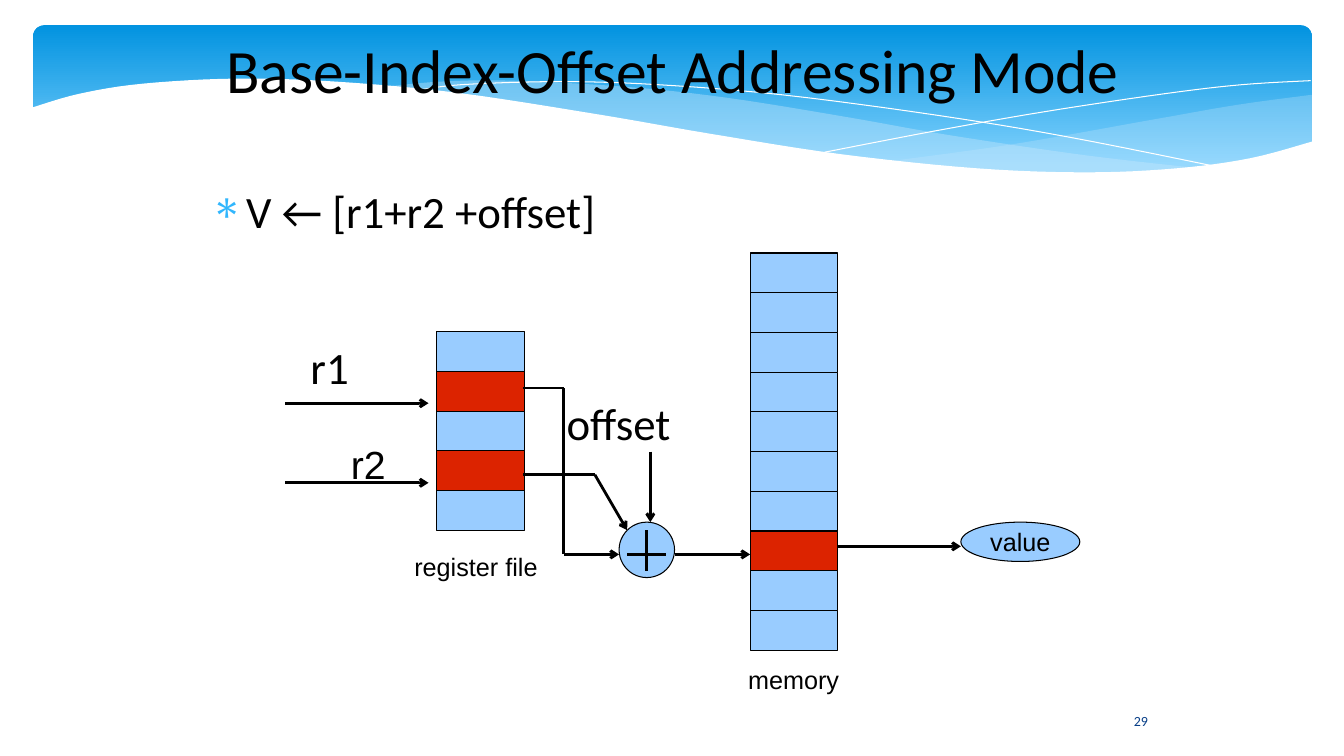
from lxml import etree
from pptx import Presentation
from pptx.dml.color import RGBColor
from pptx.enum.shapes import MSO_CONNECTOR, MSO_SHAPE
from pptx.enum.text import MSO_ANCHOR, PP_ALIGN
from pptx.oxml.ns import qn
from pptx.util import Inches, Pt

STRAIGHT = MSO_CONNECTOR.STRAIGHT
RECT, OVAL, ROUND = MSO_SHAPE.RECTANGLE, MSO_SHAPE.OVAL, MSO_SHAPE.ROUNDED_RECTANGLE
TOP, MIDDLE = MSO_ANCHOR.TOP, MSO_ANCHOR.MIDDLE
LEFT, CENTER = PP_ALIGN.LEFT, PP_ALIGN.CENTER
BLACK, WHITE, BLUE, RED, PALE = "000000", "FFFFFF", "99CCFF", "DC2300", "C6E7FC"
CELL_W, CELL_H = 0.87, 0.394

RIGHT_TOP = [(13.01, 0.94), (12.27, 1.04), (11.47, 1.18), (10.05, 1.43), (8.82, 1.6)]
RIGHT_LOW = [(8.82, 1.6), (9.58, 1.67), (10.41, 1.72), (11.13, 1.72), (11.86, 1.66),
             (12.47, 1.56), (13.01, 1.42)]
MID_TOP = [(11.9, 1.67), (10.76, 1.54), (9.41, 1.34), (8.39, 1.16), (7.21, 0.97),
           (6.19, 0.86), (5.06, 0.8), (4.37, 0.81), (3.82, 0.86)]
MID_LOW = [(3.82, 0.86), (4.83, 0.97), (5.99, 1.16), (7.55, 1.43), (8.87, 1.61),
           (9.81, 1.69), (10.76, 1.73), (11.43, 1.71), (11.9, 1.67)]
FALL = [(4.12, 0.9), (4.58, 0.84), (5.55, 0.81), (6.52, 0.84), (7.75, 0.94),
        (9.27, 1.14), (10.6, 1.36), (12.1, 1.66)]
RISE = [(8.18, 1.51), (9.27, 1.3), (10.35, 1.11), (11.55, 0.93), (12.32, 0.84), (13, 0.8)]
EDGE = [(13.03, 1.4), (12.4, 1.57), (11.67, 1.67), (10.78, 1.71), (9.69, 1.67),
        (8.34, 1.53), (7.06, 1.33), (5.96, 1.14), (4.53, 0.92), (3.33, 0.81),
        (2.35, 0.78), (1.42, 0.83), (0.79, 0.93), (0.31, 1.07)]


def color(code):
    """Turn a hex string into a colour."""
    return RGBColor.from_string(code)


def curve(knots, steps=6):
    """Return points on a smooth curve through the knots."""
    ends = [knots[0], *knots, knots[-1]]
    points = []
    for a, b, c, d in zip(ends, ends[1:], ends[2:], ends[3:]):
        for step in range(steps):
            t = step / steps
            points.append(tuple(
                (2 * q + (r - p) * t + (2 * p - 5 * q + 4 * r - s) * t ** 2
                 + (3 * q - p - 3 * r + s) * t ** 3) / 2
                for p, q, r, s in zip(a, b, c, d)))
    return points + [knots[-1]]


def wave(slide, points, fill=None, alpha=100):
    """Draw a filled wave, or a thin white line if no fill is given."""
    dots = [(Inches(x), Inches(y)) for x, y in points]
    pen = slide.shapes.build_freeform(*dots[0])
    pen.add_line_segments(dots[1:], close=bool(fill))
    shape = pen.convert_to_shape()
    shape.shadow.inherit = False
    if fill is None:
        shape.fill.background()
        shape.line.color.rgb = color(WHITE)
        shape.line.width = Pt(0)
        return
    shape.fill.solid()
    shape.fill.fore_color.rgb = color(fill)
    shape.line.fill.background()
    if alpha < 100:
        tint = shape._element.spPr.find(".//" + qn("a:srgbClr"))
        etree.SubElement(tint, qn("a:alpha")).set("val", str(alpha * 1000))


def banner(slide):
    """Draw the blue banner and its waves."""
    band = slide.shapes.add_shape(ROUND, Inches(0.33), Inches(0.25), Inches(12.68), Inches(1.56))
    band.adjustments[0] = 0.07
    band.shadow.inherit = False
    band.line.fill.background()
    band.fill.gradient()
    band.fill.gradient_angle = 270
    for stop, (place, code) in zip(band.fill.gradient_stops, [(0, "0293E0"), (0.9, "83D3FE")]):
        stop.position = place
        stop.color.rgb = color(code)
    wave(slide, curve(RIGHT_TOP) + curve(RIGHT_LOW), PALE, 29)
    wave(slide, curve(MID_TOP) + curve(MID_LOW), PALE, 40)
    wave(slide, curve(FALL))
    wave(slide, curve(RISE))
    wave(slide, curve(EDGE) + [(0.31, 2.24), (13.03, 2.24)], WHITE)


def write(frame, text, size, font, code=BLACK, align=LEFT, bullet=None):
    """Write one run of text in a frame without margins."""
    frame.margin_left = frame.margin_right = frame.margin_top = frame.margin_bottom = 0
    para = frame.paragraphs[0]
    para.alignment = align
    if bullet:
        props = para._p.get_or_add_pPr()
        props.set("marL", str(Inches(0.47)))
        props.set("indent", str(Inches(-0.35)))
        tint = etree.SubElement(props, qn("a:buClr"))
        etree.SubElement(tint, qn("a:srgbClr")).set("val", "31B6FD")
        etree.SubElement(props, qn("a:buChar")).set("char", bullet)
    run = para.add_run()
    run.text = text
    run.font.size = Pt(size)
    run.font.name = font
    run.font.color.rgb = color(code)


def label(slide, text, x, y, w, h, size, font="Calibri", anchor=TOP, wrap=True, **style):
    """Add a text box."""
    box = slide.shapes.add_textbox(Inches(x), Inches(y), Inches(w), Inches(h))
    frame = box.text_frame
    frame.word_wrap = wrap
    frame.vertical_anchor = anchor
    write(frame, text, size, font, **style)


def block(slide, kind, x, y, w, h, fill=BLUE):
    """Add a filled shape with a thin black outline."""
    shape = slide.shapes.add_shape(kind, Inches(x), Inches(y), Inches(w), Inches(h))
    shape.shadow.inherit = False
    shape.fill.solid()
    shape.fill.fore_color.rgb = color(fill)
    shape.line.color.rgb = color(BLACK)
    shape.line.width = Pt(0)
    return shape


def stack(slide, x, y, count, marked):
    """Draw a column of cells with the marked ones in red."""
    for i in range(count):
        block(slide, RECT, x, y + i * CELL_H, CELL_W, CELL_H, RED if i in marked else BLUE)


def wire(slide, *points, arrow=True):
    """Join points with lines and end the last one in an arrowhead."""
    for start, end in zip(points, points[1:]):
        line = slide.shapes.add_connector(STRAIGHT, *map(Inches, start + end))
        line.line.color.rgb = color(BLACK)
        line.line.width = Pt(0)
        if arrow and end == points[-1]:
            etree.SubElement(line.line._get_or_add_ln(), qn("a:tailEnd")).set("type", "arrow")
        etree.SubElement(line._element.spPr, qn("a:effectLst"))


def main():
    """Build the slide and save it."""
    deck = Presentation()
    deck.slide_width, deck.slide_height = Inches(13.33), Inches(7.5)
    slide = deck.slides.add_slide(deck.slide_layouts[6])
    banner(slide)
    label(slide, "29", 11.01, 6.95, 0.61, 0.4, 10, anchor=MIDDLE, code="073E87", align=CENTER)
    label(slide, "Base-Index-Offset Addressing Mode", 1.92, 0.17, 9.51, 1.02, 44,
          anchor=MIDDLE, align=CENTER)
    label(slide, "V ← [r1+r2 +offset]", 1.97, 1.82, 8.11, 0.77, 32, bullet="∗")

    stack(slide, 4.33, 3.29, 5, {1, 3})
    stack(slide, 7.44, 2.51, 10, {7})
    adder = (6.14, 5.18, 0.55, 0.55)
    block(slide, OVAL, *adder)
    value = block(slide, OVAL, 9.53, 5.18, 1.18, 0.39)
    value.text_frame.word_wrap = False
    value.text_frame.vertical_anchor = MIDDLE
    write(value.text_frame, "value", 18, "Arial", align=CENTER)

    wire(slide, (2.83, 4), (4.25, 4))
    wire(slide, (2.83, 4.79), (4.25, 4.79))
    wire(slide, (5.19, 3.85), (5.59, 3.85), (5.59, 5.5), (6.14, 5.5))
    wire(slide, (5.19, 4.71), (5.9, 4.71), (6.22, 5.26))
    wire(slide, (6.45, 4.48), (6.45, 5.18))
    wire(slide, (6.69, 5.5), (7.44, 5.5))
    wire(slide, (8.3, 5.42), (9.53, 5.42))
    wire(slide, (6.22, 5.5), (6.61, 5.5), arrow=False)
    wire(slide, (6.41, 5.26), (6.41, 5.66), arrow=False)

    label(slide, "r1", 3.08, 3.37, 0.93, 0.54, 32)
    label(slide, "offset", 5.62, 3.93, 1.7, 0.55, 32)
    label(slide, "r2", 3.48, 4.37, 0.35, 0.45, 28, "Arial", wrap=False)
    label(slide, "register file", 4.11, 5.47, 1.23, 0.29, 18, "Arial", wrap=False)
    label(slide, "memory", 7.42, 6.59, 0.91, 0.29, 18, "Arial", wrap=False)
    deck.save("out.pptx")


if __name__ == "__main__":
    main()
